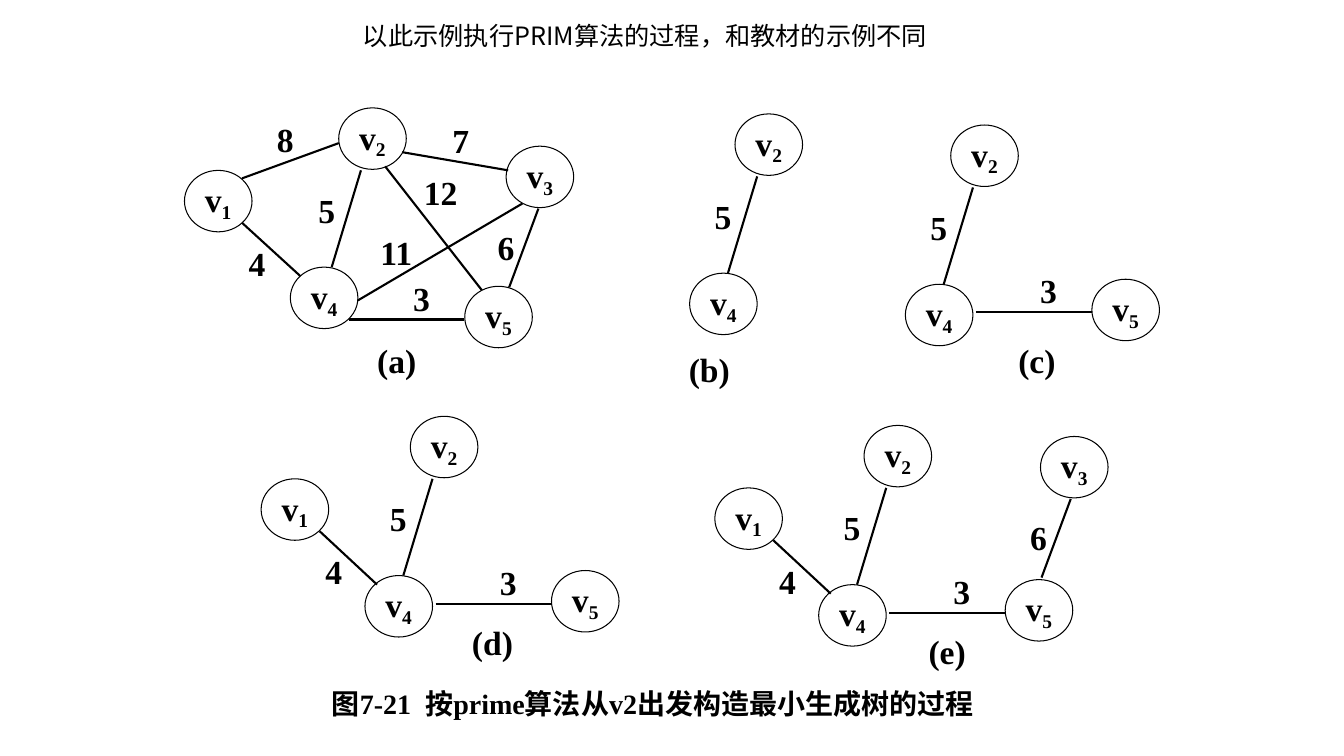
from typing import NamedTuple

from lxml import etree
from pptx import Presentation
from pptx.dml.color import RGBColor
from pptx.enum.shapes import MSO_CONNECTOR, MSO_SHAPE
from pptx.enum.text import MSO_ANCHOR, MSO_AUTO_SIZE, PP_ALIGN
from pptx.oxml.ns import qn
from pptx.util import Inches, Pt

ELLIPSE, STRAIGHT = MSO_SHAPE.OVAL, MSO_CONNECTOR.STRAIGHT
TOP, MIDDLE = MSO_ANCHOR.TOP, MSO_ANCHOR.MIDDLE
LEFT, CENTER = PP_ALIGN.LEFT, PP_ALIGN.CENTER
GROW = MSO_AUTO_SIZE.SHAPE_TO_FIT_TEXT
BLACK = "000000"
SERIF, CJK = "Times New Roman", "Noto Sans CJK SC"
NODE_W, NODE_H = 0.67, 0.61
TEXT_H, WEIGHT_W, CAPTION_W = 0.44, 0.48, 0.57
TITLE = "以此示例执行PRIM算法的过程，和教材的示例不同"
CAPTION = "图7-21  按prime算法从v2出发构造最小生成树的过程"


class Point(NamedTuple):
    x: float
    y: float


class Edge(NamedTuple):
    weight: int
    label: Point
    start: Point
    end: Point


class Graph(NamedTuple):
    name: str
    origin: Point
    caption: Point
    nodes: dict[int, Point]
    edges: list[Edge]


# The full graph, in slide coordinates
FULL_NODES = {1: Point(1.83, 1.69), 2: Point(3.36, 1.07), 3: Point(5.02, 1.45),
              4: Point(2.88, 2.65), 5: Point(4.61, 2.84)}
FULL_EDGES = [
    Edge(4, Point(2.31, 2.39), Point(2.4, 2.21), Point(2.98, 2.74)),
    Edge(8, Point(2.59, 1.16), Point(2.4, 1.77), Point(3.36, 1.42)),
    Edge(5, Point(3, 1.86), Point(3.58, 1.69), Point(3.29, 2.65)),
    Edge(7, Point(4.33, 1.17), Point(3.99, 1.51), Point(5.04, 1.69)),
    Edge(12, Point(4.13, 1.69), Point(3.82, 1.65), Point(4.78, 2.88)),
    Edge(11, Point(3.69, 2.28), Point(3.55, 2.98), Point(5.18, 2.02)),
    Edge(3, Point(3.94, 2.74), Point(3.46, 3.17), Point(4.6, 3.17)),
    Edge(6, Point(4.78, 2.23), Point(5.34, 2.07), Point(5.05, 2.85)),
]

# The spanning tree, relative to v4 and in the order in which it grows
TREE_NODES = {4: Point(0, 0), 2: Point(0.45, -1.58), 5: Point(1.85, -0.05),
              1: Point(-1.03, -0.96), 3: Point(2.2, -1.47)}
TREE_EDGES = [
    Edge(5, Point(0.09, -0.79), Point(0.67, -0.96), Point(0.38, 0)),
    Edge(3, Point(1.18, -0.16), Point(0.7, 0.28), Point(1.85, 0.28)),
    Edge(4, Point(-0.55, -0.26), Point(-0.45, -0.44), Point(0.12, 0.09)),
    Edge(6, Point(1.94, -0.69), Point(2.5, -0.85), Point(2.21, -0.07)),
]


def tree(name: str, v4: Point, caption: Point, steps: int) -> Graph:
    nodes = dict(list(TREE_NODES.items())[:steps + 1])
    return Graph(name, v4, caption, nodes, TREE_EDGES[:steps])


GRAPHS = [
    Graph("a", Point(0, 0), Point(3.65, 3.35), FULL_NODES, FULL_EDGES),
    tree("b", Point(6.84, 2.71), Point(6.75, 3.44), 1),
    tree("c", Point(8.98, 2.82), Point(10, 3.35), 2),
    tree("d", Point(3.62, 5.71), Point(4.6, 6.15), 3),
    tree("e", Point(8.12, 5.8), Point(9.11, 6.24), 4),
]


def color(value: str) -> RGBColor:
    return RGBColor.from_string(value)


def shift(p: Point, origin: Point) -> Point:
    return Point(p.x + origin.x, p.y + origin.y)


def add_run(p, text: str, size: float, font: str, bold: bool = True):
    r = p.add_run()
    r.text = text
    r.font.size, r.font.name, r.font.bold = Pt(size), font, bold
    r.font.color.rgb = color(BLACK)
    etree.SubElement(r.font._element, qn("a:ea")).set("typeface", CJK)
    return r


def centre_text(sp):
    tf = sp.text_frame
    tf.word_wrap, tf.vertical_anchor = False, MIDDLE
    tf.margin_left = tf.margin_right = 0
    p = tf.paragraphs[0]
    p.alignment = CENTER
    return p


def add_label(s, text: str, at: Point, width: float, size: float = 24) -> None:
    sp = s.shapes.add_textbox(Inches(at.x), Inches(at.y), Inches(width), Inches(TEXT_H))
    add_run(centre_text(sp), text, size, SERIF)


def add_node(s, number: int, at: Point) -> None:
    sp = s.shapes.add_shape(ELLIPSE, Inches(at.x), Inches(at.y), Inches(NODE_W), Inches(NODE_H))
    sp.shadow.inherit = False
    sp.fill.background()
    sp.line.color.rgb, sp.line.width = color(BLACK), Pt(0.75)
    p = centre_text(sp)
    add_run(p, "v", 24, SERIF)
    subscript = add_run(p, str(number), 24, SERIF)
    subscript.font._element.set("baseline", "-20000")


def add_edge(s, start: Point, end: Point) -> None:
    line = s.shapes.add_connector(STRAIGHT, Inches(start.x), Inches(start.y),
                                  Inches(end.x), Inches(end.y))
    line.line.color.rgb, line.line.width = color(BLACK), Pt(1.5)
    etree.SubElement(line._element.spPr, qn("a:effectLst"))


def add_graph(s, graph: Graph) -> None:
    for number, at in graph.nodes.items():
        add_node(s, number, shift(at, graph.origin))
    for edge in graph.edges:
        add_label(s, str(edge.weight), shift(edge.label, graph.origin), WEIGHT_W)
        add_edge(s, shift(edge.start, graph.origin), shift(edge.end, graph.origin))
    add_label(s, f"({graph.name})", graph.caption, CAPTION_W)


def add_title(s) -> None:
    sp = s.shapes.title
    sp.left, sp.top, sp.width, sp.height = Inches(3.5), Inches(0.15), Inches(5.82), Inches(0.4)
    tf = sp.text_frame
    tf.word_wrap, tf.vertical_anchor, tf.auto_size = True, TOP, GROW
    p = tf.paragraphs[0]
    p.alignment = LEFT
    add_run(p, TITLE, 18, CJK, bold=False)


def main() -> None:
    prs = Presentation()
    prs.slide_width, prs.slide_height = Inches(13.33), Inches(7.5)
    s = prs.slides.add_slide(prs.slide_layouts[5])
    add_title(s)
    for graph in GRAPHS:
        add_graph(s, graph)
    add_label(s, CAPTION, Point(2.5, 6.76), 7.95, size=20)
    prs.save("out.pptx")


if __name__ == "__main__":
    main()
